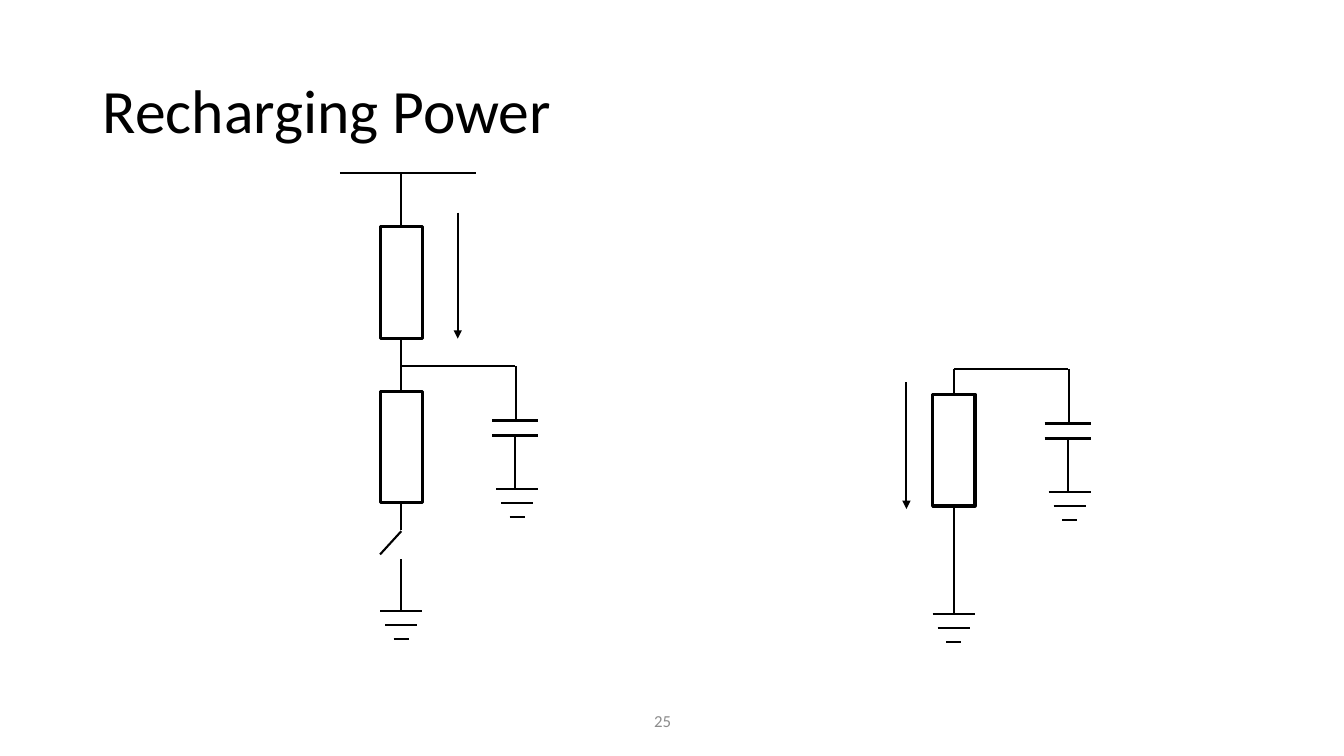
from lxml.etree import SubElement
from pptx import Presentation
from pptx.dml.color import RGBColor
from pptx.enum.shapes import MSO_CONNECTOR, MSO_SHAPE
from pptx.enum.text import MSO_ANCHOR
from pptx.oxml.ns import qn
from pptx.util import Inches, Pt

INK, PAPER, GREY = "000000", "FFFFFF", "8C8C8C"
THIN, THICK = 1.5, 2.25
TEXTS = [
    ("Recharging Power", (0.92, 0.4, 11.5, 1.45), 44, INK, 0.9),
    ("25", (6.39, 6.95, 0.79, 0.4), 12, GREY, 1.0),
]
CHARGING, DISCHARGING = (3.98, 3.63), (9.46, 3.66)
RESISTOR_SIZE = (0.42, 1.11)
GROUND_WIDTHS, GROUND_STEP = (0.42, 0.32, 0.15), 0.14
PLATE_WIDTH = 0.46
BRANCH_WIRES = [
    (0, 0, 0, 0.27),
    (0, 0, 1.13, 0),
    (1.14, 0, 1.14, 0.54),
    (1.13, 0.69, 1.13, 1.22),
]
SUPPLY_WIRES = [
    (-0.61, -1.91, 0.74, -1.91),
    (0, -1.91, 0, -1.38),
    (0, -0.27, 0, 0),
]
SWITCH_WIRES = [
    (0, 1.36, 0, 1.63),
    (0, 1.64, -0.21, 1.87),
    (0, 1.92, 0, 2.43),
]
CLOSED_WIRES = [(0, 1.36, 0, 2.43)]
CURRENTS = [(4.54, 2.11, 4.54, 3.36), (8.99, 3.79, 8.99, 5.05)]


def color(value):
    """Turn a hex string into a colour."""
    return RGBColor.from_string(value)


def add_text(page, text, place, size, ink, spacing):
    """Add one line of text, centred vertically in its box."""
    frame = page.shapes.add_textbox(*map(Inches, place)).text_frame
    frame.word_wrap, frame.vertical_anchor = True, MSO_ANCHOR.MIDDLE
    para = frame.paragraphs[0]
    para.line_spacing = spacing
    span = para.add_run()
    span.text = text
    for name, value in {"name": "Calibri", "size": Pt(size)}.items():
        setattr(span.font, name, value)
    span.font.color.rgb = color(ink)


def add_wire(page, ends, origin=(0, 0), width=THIN, arrow=False):
    """Draw a straight line given relative to an origin."""
    x, y = origin
    left, top, right, bottom = ends
    points = map(Inches, (x + left, y + top, x + right, y + bottom))
    wire = page.shapes.add_connector(MSO_CONNECTOR.STRAIGHT, *points)
    wire.line.color.rgb = color(INK)
    wire.line.width = Pt(width)
    if arrow:
        SubElement(wire.line._get_or_add_ln(), qn("a:tailEnd"), type="triangle")
    SubElement(wire._element.spPr, qn("a:effectLst"))


def add_bar(page, center, y, length, width=THIN):
    """Draw a horizontal bar around a centre."""
    add_wire(page, (-length / 2, 0, length / 2, 0), (center, y), width)


def add_resistor(page, center, top):
    """Draw an upright resistor."""
    width, height = RESISTOR_SIZE
    place = map(Inches, (center - width / 2, top, width, height))
    box = page.shapes.add_shape(MSO_SHAPE.RECTANGLE, *place)
    box.shadow.inherit = False
    box.fill.solid()
    box.fill.fore_color.rgb = color(PAPER)
    box.line.color.rgb = color(INK)
    box.line.width = Pt(THICK)


def add_ground(page, center, top):
    """Draw a ground symbol of three shrinking bars."""
    for row, length in enumerate(GROUND_WIDTHS):
        add_bar(page, center, top + row * GROUND_STEP, length)


def add_circuit(page, node, extra_wires):
    """Draw a resistor and capacitor joined at a node."""
    x, y = node
    for ends in BRANCH_WIRES + extra_wires:
        add_wire(page, ends, node)
    add_resistor(page, x, y + 0.25)
    for offset in (0.54, 0.69):
        add_bar(page, x + 1.13, y + offset, PLATE_WIDTH, THICK)
    add_ground(page, x + 1.15, y + 1.22)
    add_ground(page, x, y + 2.43)


def main():
    """Build the slide and save it."""
    deck = Presentation()
    deck.slide_width, deck.slide_height = Inches(13.33), Inches(7.5)
    page = deck.slides.add_slide(deck.slide_layouts[6])
    for item in TEXTS:
        add_text(page, *item)
    add_circuit(page, CHARGING, SUPPLY_WIRES + SWITCH_WIRES)
    add_resistor(page, CHARGING[0], CHARGING[1] - 1.38)
    add_circuit(page, DISCHARGING, CLOSED_WIRES)
    for ends in CURRENTS:
        add_wire(page, ends, arrow=True)
    deck.save("out.pptx")


if __name__ == "__main__":
    main()
